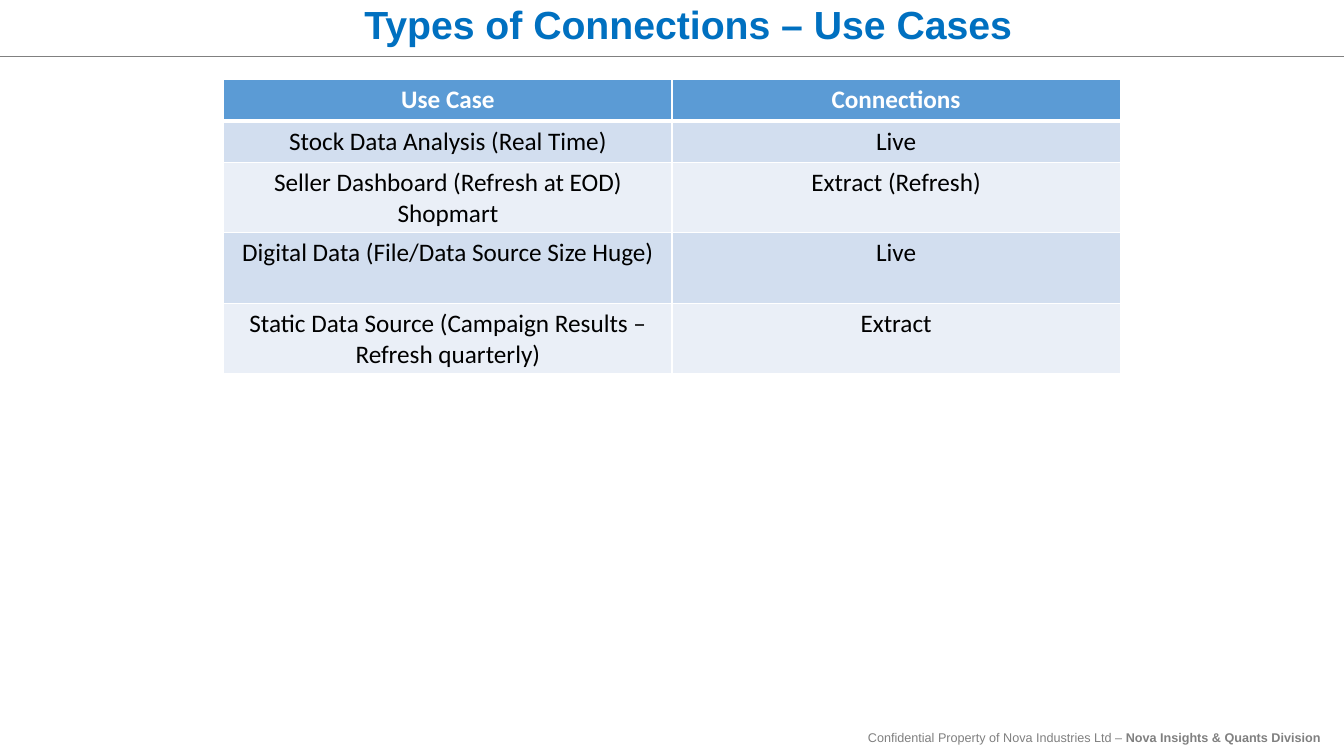
"""Build the slide on use cases for live and extract connections."""
from lxml.etree import SubElement
from pptx import Presentation
from pptx.dml.color import RGBColor
from pptx.enum.shapes import MSO_CONNECTOR as Connector, MSO_SHAPE as Shape
from pptx.enum.text import MSO_ANCHOR as Anchor, PP_ALIGN as Align
from pptx.oxml.ns import qn
from pptx.util import Inches, Pt


def color(hex_code):
    return RGBColor.from_string(hex_code)


def add_text(para, text, size=18, font="Calibri", ink="000000", bold=False, align=Align.CENTER):
    para.alignment = align
    span = para.add_run()
    span.text = text
    span.font.size = Pt(size)
    span.font.name = font
    span.font.bold = bold
    span.font.color.rgb = color(ink)


deck = Presentation()
deck.slide_width, deck.slide_height = Inches(13.33), Inches(7.5)
page = deck.slides.add_slide(deck.slide_layouts[6])

rule = page.shapes.add_connector(Connector.STRAIGHT, 0, Inches(0.56), Inches(13.33), Inches(0.56))
rule.line.color.rgb = color("808080")
rule.line.width = Pt(0.5)
SubElement(rule._element.spPr, qn("a:effectLst"))

footer = page.shapes.add_textbox(Inches(6.56), Inches(7.19), Inches(6.67), Inches(0.25))
footer.text_frame.word_wrap = True
owner = footer.text_frame.paragraphs[0]
for text, bold in [
    ("Confidential Property of Nova Industries Ltd – ", False),
    ("Nova Insights & Quants Division ", True),
]:
    add_text(owner, text, size=9, font="Arial", ink="808080", bold=bold, align=Align.RIGHT)

title = page.shapes.add_shape(Shape.RECTANGLE, Inches(2.27), 0, Inches(9.11), Inches(0.53))
title.shadow.inherit = False
title.fill.solid()
title.fill.fore_color.rgb = color("FFFFFF")
title.line.fill.background()
title.text_frame.word_wrap = True
title.text_frame.vertical_anchor = Anchor.MIDDLE
heading = title.text_frame.paragraphs[0]
heading.line_spacing = 0.9
add_text(heading, "Types of Connections – Use Cases", size=28, font="Arial", ink="0070C0", bold=True)

use_cases = [
    ("Use Case", "Connections", 0.41),
    ("Stock Data Analysis (Real Time)", "Live", 0.41),
    ("Seller Dashboard (Refresh at EOD) Shopmart", "Extract (Refresh)", 0.7),
    ("Digital Data (File/Data Source Size Huge)", "Live", 0.7),
    ("Static Data Source (Campaign Results – Refresh quarterly)", "Extract", 0.7),
]
table = page.shapes.add_table(
    len(use_cases), 2, Inches(2.22), Inches(0.79), Inches(8.89), Inches(2.92)
).table
for row, (use_case, connection, height) in enumerate(use_cases):
    table.rows[row].height = Inches(height)
    is_header = row == 0
    band = "5B9BD5" if is_header else ("EAEFF7", "D2DEEF")[row % 2]
    for column, text in enumerate((use_case, connection)):
        cell = table.cell(row, column)
        add_text(
            cell.text_frame.paragraphs[0], text,
            ink="FFFFFF" if is_header else "000000", bold=is_header,
        )
        properties = cell._tc.get_or_add_tcPr()
        for side in ("lnL", "lnR", "lnT", "lnB"):
            thick = (is_header and side == "lnB") or (row == 1 and side == "lnT")
            border = SubElement(properties, qn(f"a:{side}"), w=str(Pt(3 if thick else 1)))
            SubElement(SubElement(border, qn("a:solidFill")), qn("a:srgbClr"), val="FFFFFF")
        cell.fill.solid()
        cell.fill.fore_color.rgb = color(band)

deck.save("out.pptx")
